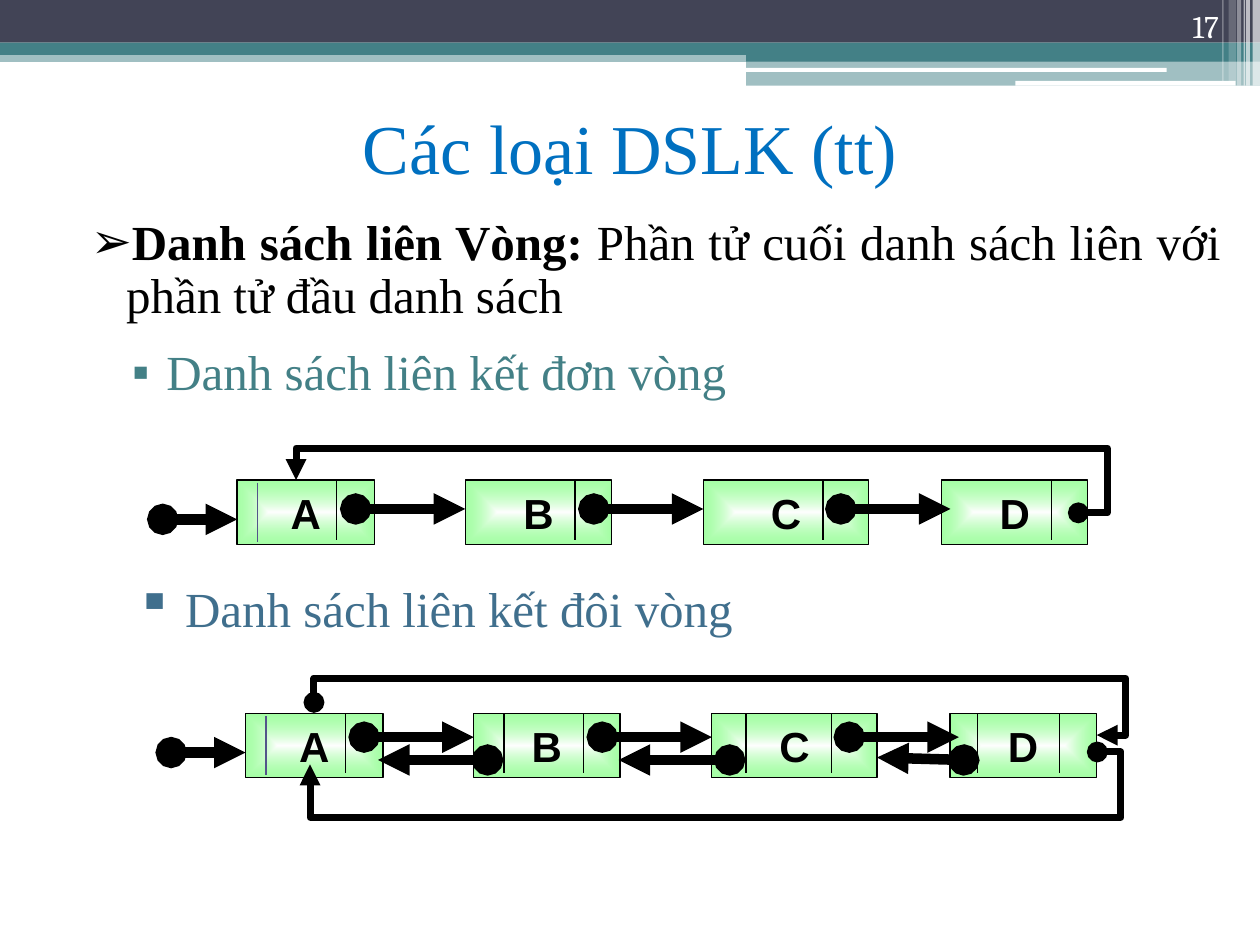
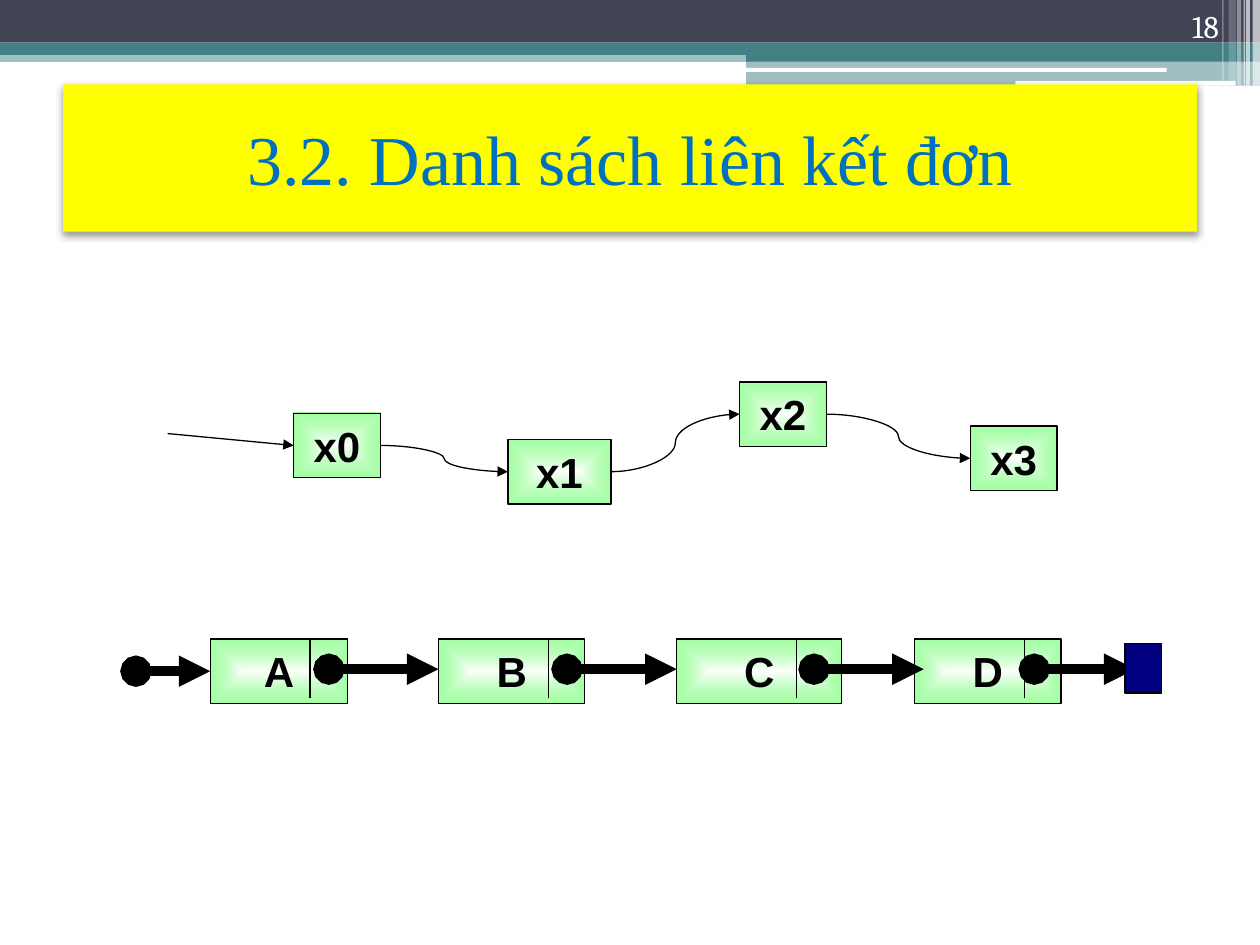
from itertools import pairwise

from lxml.etree import SubElement
from pptx import Presentation
from pptx.dml.color import RGBColor
from pptx.enum.shapes import MSO_CONNECTOR, MSO_SHAPE
from pptx.enum.text import MSO_ANCHOR, MSO_AUTO_SIZE, PP_ALIGN
from pptx.oxml import parse_xml
from pptx.oxml.ns import nsdecls, qn
from pptx.util import Cm, Pt

BLACK, WHITE = "000000", "FFFFFF"
NAVY, TEAL, STEEL, INDIGO = "424456", "438086", "406F8D", "53548A"
TITLE_BLUE, YELLOW, NULL_BLUE, GREEN = "0070C0", "FFFF00", "000080", "69FF69"

# left, top, width, height, colour, opacity in percent
BANDS = [
    (0, 1.02, 25.4, 0.23, TEAL, 50),
    (0, 0, 25.4, 0.86, NAVY, 100),
    (0, 0.86, 25.4, 0.25, TEAL, 100),
    (15.04, 0.99, 10.36, 0.25, TEAL, 100),
    (15.04, 1.22, 10.36, 0.51, TEAL, 50),
    (15.01, 1.37, 8.51, 0.08, WHITE, 100),
    (20.47, 1.63, 4.44, 0.1, WHITE, 100),
    (25.25, 0, 0.15, 1.73, WHITE, 65),
    (25.12, 0, 0.08, 1.73, WHITE, 65),
    (25.07, 0, 0.03, 1.73, WHITE, 60),
    (24.94, 0, 0.08, 1.73, WHITE, 40),
    (24.77, 0, 0.15, 1.63, WHITE, 20),
    (24.64, 0, 0.03, 1.63, WHITE, 30),
]

NODE_HEIGHT = 1.3
CHAIN_NODES = [("A", 0, 2.77), ("B", 4.6, 2.95), ("C", 9.4, 3.33), ("D", 14.2, 2.95)]
CHAIN_DIVIDERS = [2.01, 6.81, 11.81, 16.41]
CHAIN_LINKS = [2.39, 7.19, 12.17]
DIVIDER_LENGTH, LINK_LENGTH, POINTER_LENGTH = 1.2, 2.21, 1.5
RIGHT_SIDE, LEFT_SIDE = 3, 1

TITLE_FONT = {"name": "Times New Roman", "size": Pt(40)}
LIST_FONT = {"name": "Times New Roman", "size": Pt(28)}
NODE_FONT = {"name": "Arial", "size": Pt(24), "bold": True}
PAGE_FONT = {"name": "Cambria", "size": Pt(18)}


def colour(hex_string):
    return RGBColor.from_string(hex_string)


def set_values(target, values):
    for name, value in values.items():
        setattr(target, name, value)


def box(left, top, width, height):
    return dict(left=Cm(left), top=Cm(top), width=Cm(width), height=Cm(height))


def add_run(paragraph, text, font, hex_string):
    run = paragraph.add_run()
    run.text = text
    set_values(run.font, font)
    run.font.color.rgb = colour(hex_string)
    return run


def set_bullet(paragraph, character, hex_string, margin, indent):
    properties = paragraph._p.get_or_add_pPr()
    properties.set("marL", str(Cm(margin)))
    properties.set("indent", str(Cm(indent)))
    bullet_colour = SubElement(properties, qn("a:buClr"))
    SubElement(bullet_colour, qn("a:srgbClr"), val=hex_string)
    SubElement(properties, qn("a:buChar"), char=character)


class Deck:
    def __init__(self):
        self.presentation = Presentation()
        set_values(self.presentation, {"slide_width": Cm(25.4), "slide_height": Cm(19.05)})
        self.slide = None

    def new_slide(self, layout_index, page):
        layout = self.presentation.slide_layouts[layout_index]
        self.slide = self.presentation.slides.add_slide(layout)
        if len(self.presentation.slides) == 1:
            self.master_bands()
        frame = self.text_box(22.71, 0, 2.11, 1.02)
        frame.vertical_anchor = MSO_ANCHOR.BOTTOM
        frame.paragraphs[0].alignment = PP_ALIGN.RIGHT
        add_run(frame.paragraphs[0], page, PAGE_FONT, WHITE)

    def master_bands(self):
        """Draw the header bands and move them behind the master's placeholders."""
        tree = self.presentation.slide_master.shapes.element
        for index, (left, top, width, height, fill, opacity) in enumerate(BANDS):
            band = self.rectangle(left, top, width, height, fill)
            band.line.fill.background()
            if opacity < 100:
                fill_colour = band.element.spPr.find(qn("a:solidFill"))[0]
                SubElement(fill_colour, qn("a:alpha"), val=str(opacity * 1000))
            band.element.nvSpPr.cNvPr.id = 100 + index
            tree.insert(2 + index, band.element)

    def title(self, text, top):
        title = self.slide.shapes.title
        set_values(title, box(1.27, top, 22.86, 2.97))
        title.text_frame.vertical_anchor = MSO_ANCHOR.MIDDLE
        paragraph = title.text_frame.paragraphs[0]
        paragraph.alignment = PP_ALIGN.CENTER
        add_run(paragraph, text, TITLE_FONT, TITLE_BLUE)
        return title

    def highlight(self, shape, hex_string):
        """Give a shape a solid fill and a soft shadow below it."""
        shape.fill.solid()
        shape.fill.fore_color.rgb = colour(hex_string)
        shape.element.spPr.append(parse_xml(
            f'<a:effectLst {nsdecls("a")}><a:outerShdw blurRad="52070" dist="25400" '
            'dir="5400000" rotWithShape="0"><a:srgbClr val="000000">'
            '<a:alpha val="40000"/></a:srgbClr></a:outerShdw></a:effectLst>'))

    def text_box(self, left, top, width, height):
        shape = self.slide.shapes.add_textbox(Cm(left), Cm(top), Cm(width), Cm(height))
        shape.text_frame.word_wrap = True
        return shape.text_frame

    def rectangle(self, left, top, width, height, fill=None):
        shape = self.slide.shapes.add_shape(
            MSO_SHAPE.RECTANGLE, Cm(left), Cm(top), Cm(width), Cm(height))
        shape.shadow.inherit = False
        shape.line.color.rgb = colour(BLACK)
        shape.line.width = Pt(0.75)
        if fill:
            shape.fill.solid()
            shape.fill.fore_color.rgb = colour(fill)
        return shape

    def node(self, text, left, top, width):
        """Add a labelled box, white in the middle and green at the edge."""
        shape = self.rectangle(left, top, width, NODE_HEIGHT)
        shape.element.spPr.find(qn("a:prstGeom")).addnext(parse_xml(
            f'<a:gradFill {nsdecls("a")} rotWithShape="0"><a:gsLst>'
            f'<a:gs pos="0"><a:srgbClr val="{WHITE}"/></a:gs>'
            f'<a:gs pos="100000"><a:srgbClr val="{GREEN}"><a:alpha val="60000"/></a:srgbClr></a:gs>'
            '</a:gsLst><a:path path="shape">'
            '<a:fillToRect l="50000" t="50000" r="50000" b="50000"/></a:path></a:gradFill>'))
        paragraph = shape.text_frame.paragraphs[0]
        paragraph.alignment = PP_ALIGN.CENTER
        add_run(paragraph, text, NODE_FONT, BLACK)
        return shape

    def connector(self, start, end, width=0.75, head=None, tail=None,
                  kind=MSO_CONNECTOR.STRAIGHT, hex_string=BLACK):
        line = self.slide.shapes.add_connector(kind, *map(Cm, start + end))
        line.line.color.rgb = colour(hex_string)
        line.line.width = Pt(width)
        properties = line.element.spPr
        outline = properties.find(qn("a:ln"))
        for tag, marker in (("a:headEnd", head), ("a:tailEnd", tail)):
            if marker:
                SubElement(outline, qn(tag), type=marker)
        SubElement(properties, qn("a:effectLst"))
        return line

    def link(self, start, end, head="oval", tail="triangle"):
        return self.connector(start, end, 6, head, tail)

    def divider(self, left, top, hex_string=BLACK):
        self.connector((left, top), (left, top + DIVIDER_LENGTH), hex_string=hex_string)

    def loop(self, start, end, adjustments, rotation=0):
        """Add a four-part elbow arrow; start and end are given before rotation."""
        line = self.connector(start, end, 4, "oval", "triangle", MSO_CONNECTOR.ELBOW)
        properties = line.element.spPr
        if rotation:
            properties.find(qn("a:xfrm")).set("rot", str(rotation * 60000))
        geometry = properties.find(qn("a:prstGeom"))
        geometry.set("prst", "bentConnector4")
        guides = geometry.find(qn("a:avLst"))
        for number, share in enumerate(adjustments, 1):
            SubElement(guides, qn("a:gd"), name=f"adj{number}",
                       fmla=f"val {round(share * 100000)}")

    def chain(self, left, top, link_drop, pointer_drop):
        """Add the nodes A to D with their links; return node A and its pointer."""
        nodes = [self.node(text, left + offset, top, width)
                 for text, offset, width in CHAIN_NODES]
        for offset in CHAIN_DIVIDERS:
            self.divider(left + offset, top)
        level = top + pointer_drop
        pointer = self.link((left - POINTER_LENGTH, level), (left, level))
        level = top + link_drop
        for offset in CHAIN_LINKS:
            self.link((left + offset, level), (left + offset + LINK_LENGTH, level))
        return nodes[0], pointer


def circular_lists(deck):
    deck.new_slide(1, "17")
    deck.title("Các loại DSLK (tt)", 1.47)

    body = deck.slide.placeholders[1]
    set_values(body, box(1.27, 4.27, 23.6, 4.19))
    body.text_frame.auto_size = MSO_AUTO_SIZE.NONE
    definition = body.text_frame.paragraphs[0]
    single = body.text_frame.add_paragraph()
    for paragraph in (definition, single):
        set_values(paragraph, {"alignment": PP_ALIGN.JUSTIFY, "line_spacing": 0.9,
                               "space_before": Pt(14)})
    single.level = 1
    set_bullet(definition, "➢", BLACK, 1.02, -0.71)
    set_bullet(single, "▪", TEAL, 1.83, -0.69)
    add_run(definition, "Danh sách liên Vòng: ", LIST_FONT, BLACK).font.bold = True
    add_run(definition, "Phần tử cuối danh sách liên với phần tử đầu danh sách",
            LIST_FONT, BLACK)
    add_run(single, "Danh sách liên kết đơn vòng", LIST_FONT, TEAL)

    double = deck.text_box(1.8, 11.76, 17.91, 1.22).paragraphs[0]
    set_values(double, {"level": 1, "line_spacing": 0.8})
    set_bullet(double, "▪", STEEL, 1.27, -0.57)
    add_run(double, " Danh sách liên kết đôi vòng", LIST_FONT, STEEL)

    single_left, single_top = 4.78, 9.68
    double_left, double_top = 4.95, 14.38
    deck.chain(single_left, single_top, 0.58, 1.02 - 0.23)
    deck.loop((21.74, 10.34), (5.97, 9.68), (-0.037, 1.98))
    deck.chain(double_left, double_top, 0.48, 0.79)
    for left, top in ((single_left, single_top), (double_left, double_top)):
        deck.divider(left + 0.41, top + 0.05, INDIGO)
    for left in (10.16, 15.04, 19.71):
        deck.divider(left, double_top)
    for start, end in (((7.62, 15.32), (9.83, 15.32)),
                       ((12.47, 15.32), (14.71, 15.32)),
                       ((17.68, 15.27), (19.43, 15.32))):
        deck.link(start, end, "triangle", "oval")
    deck.loop((13.89, 22.38), (14.55, 6.6), (-0.742, 1.037), 90)
    deck.loop((6.25, 15.41), (22.12, 15.16), (-0.03, 5.268), 180)


def singly_linked_list(deck):
    deck.new_slide(5, "18")
    deck.highlight(deck.title("3.2. Danh sách liên kết đơn", 1.7), YELLOW)

    first_node, pointer = deck.chain(4.24, 12.88, 0.61, NODE_HEIGHT / 2)
    pointer.end_connect(first_node, LEFT_SIDE)
    deck.link((20.85, 13.49), (22.89, 13.49))
    deck.rectangle(22.68, 12.98, 0.74, 0.99, NULL_BLUE)

    elements = [deck.node(*values) for values in (
        ("x0", 5.92, 8.33, 1.75), ("x1", 10.24, 8.86, 2.08),
        ("x2", 14.91, 7.7, 1.75), ("x3", 19.56, 8.59, 1.75))]
    for element, following in pairwise(elements):
        curve = deck.connector((0, 0), (1, 1), tail="triangle", kind=MSO_CONNECTOR.CURVE)
        curve.begin_connect(element, RIGHT_SIDE)
        curve.end_connect(following, LEFT_SIDE)
    entry = deck.connector((3.38, 8.74), (5.92, 8.98), tail="triangle")
    entry.end_connect(elements[0], LEFT_SIDE)


def main():
    deck = Deck()
    circular_lists(deck)
    singly_linked_list(deck)
    deck.presentation.save("out.pptx")


if __name__ == "__main__":
    main()
